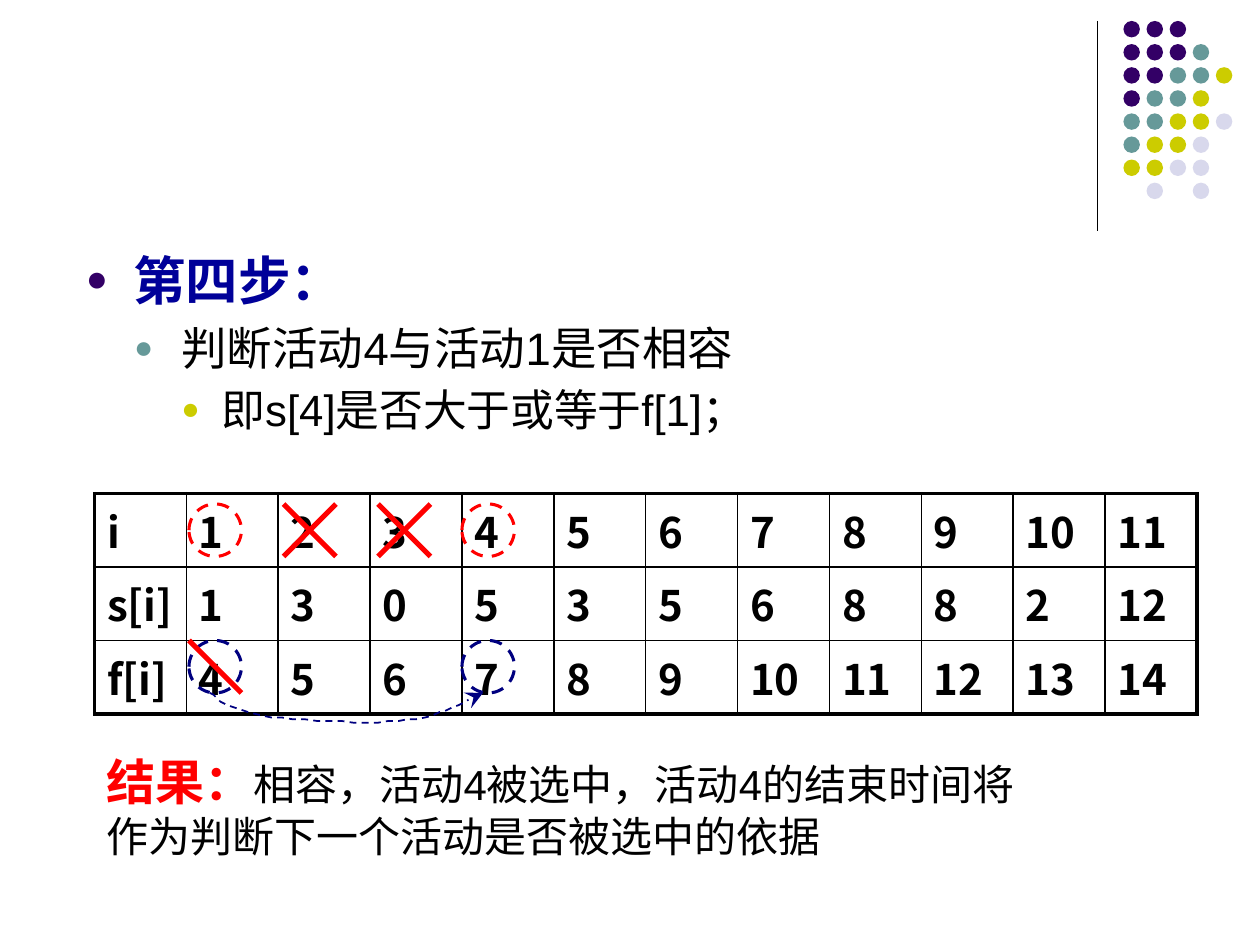
from pptx import Presentation, util as u
from pptx.dml.color import RGBColor
from pptx.enum import dml, shapes
from pptx.oxml.ns import qn
from lxml import etree

Pt = u.Pt
COLORS = {"purple": "330066", "teal": "669999", "olive": "CCCC00", "lilac": "D8D8EC",
          "blue": "000099", "navy": "000080", "red": "FF0000", "black": "000000"}
DOT_KEYS = {"p": "purple", "t": "teal", "o": "olive", "l": "lilac"}
DOT_ROWS = ["ppp", "pppt", "pptto", "ptto", "ttool", "tool", "ooll", ".l.l"]
BULLETS = [
    ("第四步：", 30, "blue", True, "purple", 27, 27),
    ("判断活动4与活动1是否相容", 26, "black", False, "teal", 54.5, 27),
    ("即s[4]是否大于或等于f[1]；", 25, "black", False, "olive", 77.5, 23),
]
ACTIVITIES = [
    ["i", 1, 2, 3, 4, 5, 6, 7, 8, 9, 10, 11],
    ["s[i]", 1, 3, 0, 5, 3, 5, 6, 8, 8, 2, 12],
    ["f[i]", 4, 5, 6, 7, 8, 9, 10, 11, 12, 13, 14],
]
RESULT = [("结果：", 28, "red", True),
          ("相容，活动4被选中，活动4的结束时间将作为判断下一个活动是否被选中的依据", 24, "black", False)]
ARROW_START = (120, 396)
ARROW_CURVES = [
    [(126, 401), (132, 406), (150, 409)],
    [(168, 411), (207, 414), (228, 412)],
    [(249, 410), (263, 403), (276, 396)],
]
MARK = 30
TOP_Y, FINISH_Y = 288, 366

prs = Presentation()
prs.slide_width, prs.slide_height = Pt(720), Pt(540)
s = prs.slides.add_slide(prs.slide_layouts[6])


def rgb(name):
    return RGBColor.from_string(COLORS[name])


def style_run(r, size, color, bold, font="Arial"):
    f = r.font
    f.size, f.bold, f.name = Pt(size), bold, font
    f.color.rgb = rgb(color)
    etree.SubElement(r._r.get_or_add_rPr(), qn("a:ea"), typeface=font)


def set_line(sp, color, width, dashed=False):
    sp.line.color.rgb = rgb(color)
    sp.line.width = Pt(width)
    if dashed:
        sp.line.dash_style = dml.MSO_LINE.DASH


def add_line(x1, y1, x2, y2, color, width):
    sp = s.shapes.add_connector(shapes.MSO_CONNECTOR.STRAIGHT, Pt(x1), Pt(y1), Pt(x2), Pt(y2))
    set_line(sp, color, width)
    etree.SubElement(sp._element.spPr, qn("a:effectLst"))


def add_oval(x, y, size):
    sp = s.shapes.add_shape(shapes.MSO_SHAPE.OVAL, Pt(x), Pt(y), Pt(size), Pt(size))
    sp.shadow.inherit = False
    return sp


def add_ring(x, y, color):
    sp = add_oval(x, y, MARK)
    sp.fill.background()
    set_line(sp, color, 1.75, True)


def add_text(x, y, w, h):
    tf = s.shapes.add_textbox(Pt(x), Pt(y), Pt(w), Pt(h)).text_frame
    tf.word_wrap = True
    return tf


def set_bullet(p, color, margin, indent):
    pPr = p._p.get_or_add_pPr()
    pPr.set("marL", str(Pt(margin)))
    pPr.set("indent", str(-Pt(indent)))
    clr = etree.SubElement(pPr, qn("a:buClr"))
    etree.SubElement(clr, qn("a:srgbClr"), val=COLORS[color])
    etree.SubElement(pPr, qn("a:buSzPct"), val="70000")
    etree.SubElement(pPr, qn("a:buFont"), typeface="Arial")
    etree.SubElement(pPr, qn("a:buChar"), char="●")


def set_borders(cell, widths):
    tcPr = cell._tc.get_or_add_tcPr()
    for i, (side, width) in enumerate(zip("LRTB", widths)):
        ln = etree.Element(qn("a:ln" + side), w=str(Pt(width)))
        fill = etree.SubElement(ln, qn("a:solidFill"))
        etree.SubElement(fill, qn("a:srgbClr"), val=COLORS["black"])
        tcPr.insert(i, ln)


def bezier(p0, p1, p2, p3, steps=12):
    for i in range(1, steps + 1):
        t = i / steps
        yield tuple((1 - t) ** 3 * a + 3 * (1 - t) ** 2 * t * b + 3 * (1 - t) * t ** 2 * c + t ** 3 * d
                    for a, b, c, d in zip(p0, p1, p2, p3))


add_line(627, 12, 627, 132, "black", 0.75)
for row, keys in enumerate(DOT_ROWS):
    for col, key in enumerate(keys):
        if key in DOT_KEYS:
            sp = add_oval(642 + 13.2 * col, 12 + 13.2 * row, 9.4)
            sp.fill.solid()
            sp.fill.fore_color.rgb = rgb(DOT_KEYS[key])
            sp.line.fill.background()

tf = add_text(42, 138, 552, 126)
for i, (line, size, color, bold, bullet, margin, indent) in enumerate(BULLETS):
    p = tf.paragraphs[0] if i == 0 else tf.add_paragraph()
    p.text = line
    if i:
        p.space_before = Pt(size * 0.2)
    set_bullet(p, bullet, margin, indent)
    style_run(p.runs[0], size, color, bold)

n_rows, n_cols = len(ACTIVITIES), len(ACTIVITIES[0])
tbl = s.shapes.add_table(n_rows, n_cols, Pt(54), Pt(282), Pt(630), Pt(42 * n_rows)).table
tbl.first_row = tbl.horz_banding = False
for col in tbl.columns:
    col.width = Pt(630 / n_cols)
for i, values in enumerate(ACTIVITIES):
    for j, value in enumerate(values):
        cell = tbl.cell(i, j)
        cell.text = str(value)
        style_run(cell.text_frame.paragraphs[0].runs[0], 24, "black", True, "Noto Sans CJK SC")
        cell.fill.background()
        edges = (j == 0, j == n_cols - 1, i == 0, i == n_rows - 1)
        set_borders(cell, [2.25 if edge else 1 for edge in edges])

for x, y, color in [(108, TOP_Y, "red"), (108, FINISH_Y, "navy"),
                    (264, FINISH_Y, "navy"), (264, TOP_Y, "red")]:
    add_ring(x, y, color)
for x in (162, 216):
    add_line(x, TOP_Y + MARK, x + MARK, TOP_Y, "red", 3)
    add_line(x, TOP_Y, x + MARK, TOP_Y + MARK, "red", 3)

p = add_text(54, 426, 546, 70).paragraphs[0]
for words, size, color, bold in RESULT:
    r = p.add_run()
    r.text = words
    style_run(r, size, color, bold)

points, start = [], ARROW_START
for curve in ARROW_CURVES:
    points += bezier(start, *curve)
    start = curve[-1]
fb = s.shapes.build_freeform(*ARROW_START, scale=Pt(1))
fb.add_line_segments(points, close=False)
sp = fb.convert_to_shape()
sp.shadow.inherit = False
sp.fill.background()
set_line(sp, "navy", 1, True)
etree.SubElement(sp.line._get_or_add_ln(), qn("a:tailEnd"), type="stealth", w="lg", len="lg")
add_line(108, FINISH_Y, 108 + MARK, FINISH_Y + MARK, "red", 3)

prs.save("out.pptx")
